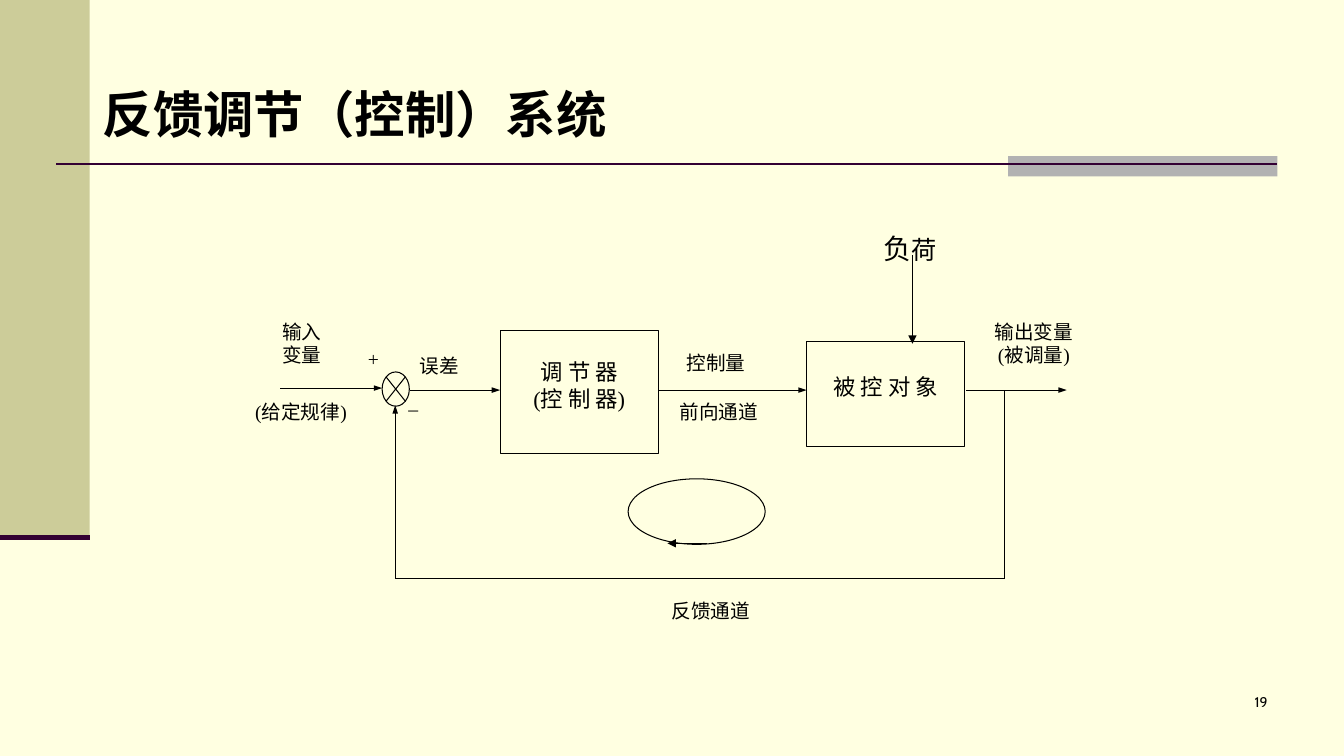
from lxml.etree import SubElement
from pptx import Presentation
from pptx.dml.color import RGBColor
from pptx.enum.shapes import MSO_CONNECTOR, MSO_SHAPE
from pptx.enum.text import MSO_ANCHOR, PP_ALIGN
from pptx.oxml.ns import qn
from pptx.util import Emu, Pt

PX = 9144
CREAM = RGBColor(0xFF, 0xFF, 0xE1)
KHAKI = RGBColor(0xCC, 0xCC, 0x99)
GRAY = RGBColor(0xB2, 0xB2, 0xB2)
PLUM = RGBColor(0x33, 0x00, 0x33)
BLACK = RGBColor(0x00, 0x00, 0x00)
HEADING_FONT = "Noto Sans CJK SC"
DIAGRAM_FONT = "Times New Roman"
NUMBER_FONT = "Cabin"


def px(*lengths):
    """Turn px lengths into EMU."""
    return [Emu(length * PX) for length in lengths]


def write(frame, lines, font, align, inset=(0, 0, 0, 0), bold=False):
    """Fill a text frame with lines, each a list of (text, size) runs."""
    frame.word_wrap = True
    (frame.margin_left, frame.margin_top,
     frame.margin_right, frame.margin_bottom) = px(*inset)
    for index, runs in enumerate(lines):
        paragraph = frame.paragraphs[0] if index == 0 else frame.add_paragraph()
        paragraph.alignment = align
        for text, size in runs:
            run = paragraph.add_run()
            run.text = text
            run.font.size = Pt(size)
            run.font.bold = bold
            run.font.name = font
            run.font.color.rgb = BLACK
            SubElement(run.font._element, qn("a:ea")).set("typeface", HEADING_FONT)


def add_label(slide, box, lines, font=DIAGRAM_FONT, align=PP_ALIGN.JUSTIFY,
              inset=(0, 0, 0, 0), anchor=MSO_ANCHOR.TOP, bold=False):
    """Place a text box."""
    frame = slide.shapes.add_textbox(*px(*box)).text_frame
    frame.vertical_anchor = anchor
    write(frame, lines, font, align, inset, bold)


def add_band(slide, box, color):
    """Place a plain filled rectangle."""
    band = slide.shapes.add_shape(MSO_SHAPE.RECTANGLE, *px(*box))
    band.shadow.inherit = False
    band.fill.solid()
    band.fill.fore_color.rgb = color
    band.line.fill.background()


def add_outline(slide, preset, box):
    """Place an unfilled shape with a thin black outline."""
    outline = slide.shapes.add_shape(preset, *px(*box))
    outline.shadow.inherit = False
    outline.fill.background()
    outline.line.color.rgb = BLACK
    outline.line.width = Pt(0.75)
    return outline


def add_line(slide, ends, color=BLACK, width=0.75, head=None):
    """Draw a straight line, with an arrowhead of the given width if any."""
    line = slide.shapes.add_connector(MSO_CONNECTOR.STRAIGHT, *px(*ends))
    line.line.color.rgb = color
    line.line.width = Pt(width)
    if head:
        tail = SubElement(line.line._get_or_add_ln(), qn("a:tailEnd"))
        tail.set("type", "triangle")
        tail.set("w", head)
    SubElement(line._element.spPr, qn("a:effectLst"))


def add_backdrop(slide, width):
    """Draw the background, the side band and the rule under the title."""
    slide.background.fill.solid()
    slide.background.fill.fore_color.rgb = CREAM
    side_width, side_height = 89, 533
    rule_y, rule_right = 163, width - 66
    add_band(slide, (0, 0, side_width, side_height), KHAKI)
    add_band(slide, (rule_right - 267, rule_y - 8, 267, 20), GRAY)
    add_line(slide, (56, rule_y, rule_right, rule_y), PLUM, 1.5)
    add_line(slide, (0, side_height, side_width, side_height), PLUM, 3.5)


def add_title(slide, box):
    """Write the slide title."""
    add_label(slide, box, [[("反馈调节（控制）系统", 36)]], HEADING_FONT,
              PP_ALIGN.LEFT, (10, 5, 10, 5), MSO_ANCHOR.MIDDLE, True)


def add_page_number(slide, box):
    """Write the page number."""
    add_label(slide, box, [[("19", 10)]], NUMBER_FONT, PP_ALIGN.RIGHT,
              (10, 5, 10, 5))


def add_feedback_loop(slide, left, top):
    """Draw the block diagram of the feedback control system."""
    def place(x, y, width, height):
        return left + x, top + y, width, height

    def span(x1, y1, x2, y2):
        return left + x1, top + y1, left + x2, top + y2

    blocks = [
        ((243, 103, 157, 122), 27, ["调 节 器", "(控 制 器)"]),
        ((547, 114, 157, 104), 31, ["被 控 对 象"]),
    ]
    for box, drop, lines in blocks:
        block = add_outline(slide, MSO_SHAPE.RECTANGLE, place(*box))
        block.text_frame.vertical_anchor = MSO_ANCHOR.TOP
        write(block.text_frame, [[(line, 16)] for line in lines],
              DIAGRAM_FONT, PP_ALIGN.CENTER, (0, drop, 0, 0))

    add_outline(slide, MSO_SHAPE.FLOWCHART_SUMMING_JUNCTION,
                place(126, 144, 27, 34))
    add_outline(slide, MSO_SHAPE.OVAL, place(370, 250, 136, 65))

    signal_y, feedback_y = 162, 349
    junction_x, branch_x = 139, 743
    arrows = [
        ((25, 160, 126, 160), "sm"),
        ((154, signal_y, 243, signal_y), "sm"),
        ((401, signal_y, 547, signal_y), "sm"),
        ((705, signal_y, 805, signal_y), "sm"),
        ((branch_x, signal_y, branch_x, feedback_y), None),
        ((branch_x, feedback_y, junction_x, feedback_y), None),
        ((junction_x, feedback_y, junction_x, 177), "sm"),
        ((652, 28, 652, 116), "med"),
        ((448, 314, 409, 314), "med"),
    ]
    for ends, head in arrows:
        add_line(slide, span(*ends), head=head)

    labels = [
        ((27, 92, 72, 53), ["输入", "变量"]),
        ((0, 172, 132, 80), ["(给定规律)"]),
        ((112, 119, 30, 40), ["+"]),
        ((152, 162, 14, 46), ["_"]),
        ((163, 126, 57, 53), ["误差"]),
        ((428, 123, 81, 47), ["控制量"]),
        ((421, 172, 106, 53), ["前向通道"]),
        ((413, 369, 110, 47), ["反馈通道"]),
    ]
    for box, lines in labels:
        add_label(slide, place(*box), [[(line, 14)] for line in lines])
    add_label(slide, place(718, 92, 109, 64),
              [[("输出变量", 14)], [("(被调量)", 14)]], align=PP_ALIGN.CENTER)
    add_label(slide, place(613, 0, 97, 45), [[("负", 20), ("荷", 18)]],
              inset=(10, 5, 10, 5))


def main():
    """Build and save the slide."""
    width, height = 1333, 750
    deck = Presentation()
    deck.slide_width, deck.slide_height = px(width, height)
    slide = deck.slides.add_slide(deck.slide_layouts[6])
    add_backdrop(slide, width)
    add_title(slide, (92, 65, 741, 95))
    add_page_number(slide, (989, 683, 278, 50))
    add_feedback_loop(slide, 253, 225)
    deck.save("out.pptx")


if __name__ == "__main__":
    main()
